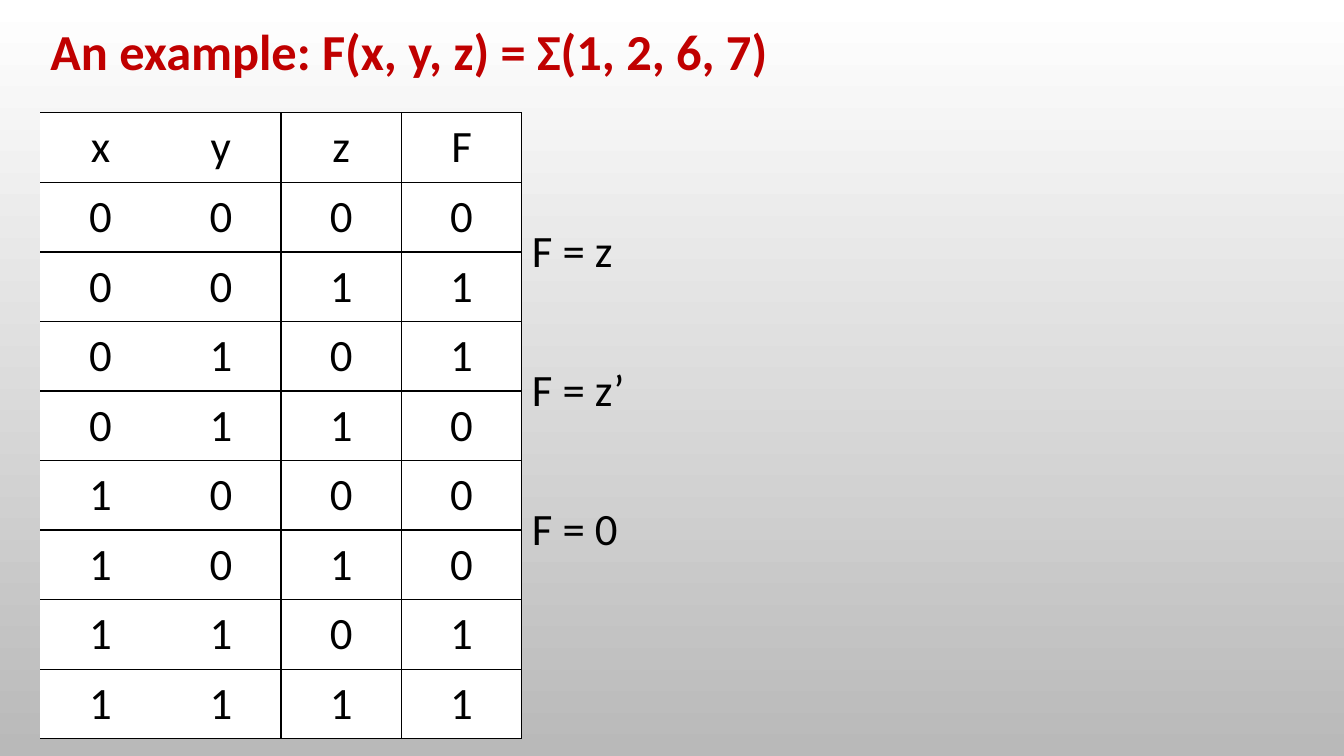
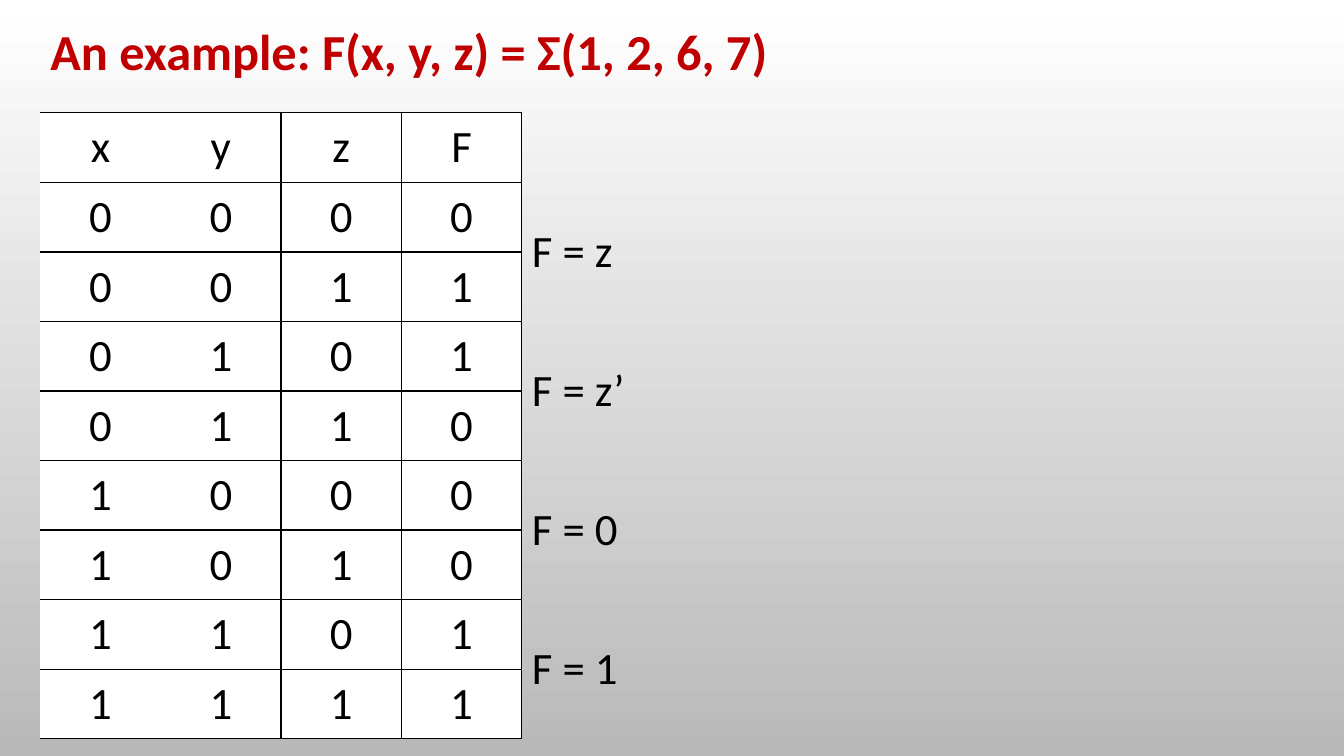
"""Build two slides that reduce a truth table to functions of z."""
from itertools import product
from typing import NamedTuple

from lxml.etree import SubElement
from pptx import Presentation
from pptx.dml.color import RGBColor
from pptx.enum.text import MSO_ANCHOR, MSO_AUTO_SIZE, PP_ALIGN
from pptx.oxml.ns import qn
from pptx.slide import Slide, SlideMaster
from pptx.table import _Cell
from pptx.text.text import TextFrame
from pptx.util import Inches, Pt

WHITE, GREY, BLACK, RED = "FFFFFF", "B9B9B9", "000000", "C00000"
FONT = "Calibri"
PLAIN = "{2D5ABB26-0587-4C30-8999-92F81FD0307C}"
HEADS = ("x", "y", "z", "F")
TERMS = (1, 2, 6, 7)
RULES = ("F = z", "F = z’", "F = 0", "F = 1")
TITLE = f"An example: F(x, y, z) = Σ({', '.join(map(str, TERMS))})"


class Look(NamedTuple):
    """Style of one line of text."""
    size: int
    color: str
    bold: bool
    align: PP_ALIGN


HEAD = Look(36, RED, True, PP_ALIGN.LEFT)
BIT = Look(32, BLACK, False, PP_ALIGN.CENTER)
RULE = Look(32, BLACK, False, PP_ALIGN.LEFT)


def rgb(code: str) -> RGBColor:
    """Turn a hex string into a colour."""
    return RGBColor.from_string(code)


def write(frame: TextFrame, text: str, look: Look) -> None:
    """Set one styled line of text."""
    frame.text = text
    line = frame.paragraphs[0]
    line.alignment = look.align
    font = line.runs[0].font
    font.name, font.size, font.bold = FONT, Pt(look.size), look.bold
    font.color.rgb = rgb(look.color)


def shade(master: SlideMaster) -> None:
    """Give all slides a white to grey backdrop."""
    fill = master.background.fill
    fill.gradient()
    fill.gradient_angle = 270
    for stop, place, code in zip(fill.gradient_stops, (0, 1), (WHITE, GREY)):
        stop.position = place
        stop.color.rgb = rgb(code)


def edge(cell: _Cell, sides: str) -> None:
    """Draw thin lines on the named sides of a cell."""
    props = cell._tc.get_or_add_tcPr()
    for side in sides:
        line = SubElement(props, qn(f"a:ln{side}"), w=str(Pt(1)))
        fill = SubElement(line, qn("a:solidFill"))
        SubElement(fill, qn("a:srgbClr"), val=BLACK)


def sides(row: int, col: int) -> str:
    """Name the ruled sides: pairs of rows, and both sides of z."""
    return "".join((
        "L" if col in (2, 3) else "",
        "R" if col in (1, 2) else "",
        "T" if row == 0 or row % 2 else "",
        "B" if row % 2 == 0 else "",
    ))


def add_head(slide: Slide) -> None:
    """Place the title."""
    head = slide.shapes.title
    head.left, head.top = Inches(0.4), Inches(0.14)
    head.width, head.height = Inches(8.12), Inches(0.71)
    frame = head.text_frame
    frame.auto_size = MSO_AUTO_SIZE.NONE
    frame.vertical_anchor = MSO_ANCHOR.MIDDLE
    write(frame, TITLE, HEAD)


def add_truth(slide: Slide, shown: int) -> None:
    """Draw the truth table with the first rules shown."""
    bits = product((0, 1), repeat=3)
    rows = [HEADS] + [(*xyz, int(n in TERMS)) for n, xyz in enumerate(bits)]
    table = slide.shapes.add_table(
        len(rows), len(HEADS) + 1, Inches(0.4), Inches(1.12),
        Inches(5.97), Inches(6.21)).table
    table.first_row = table.horz_banding = False
    table._tbl.tblPr.find(qn("a:tableStyleId")).text = PLAIN
    for r, row in enumerate(rows):
        for c, value in enumerate(row):
            cell = table.cell(r, c)
            edge(cell, sides(r, c))
            cell.fill.solid()
            cell.fill.fore_color.rgb = rgb(WHITE)
            cell.vertical_anchor = MSO_ANCHOR.MIDDLE
            write(cell.text_frame, str(value), BIT)
        table.cell(r, len(HEADS)).fill.background()
    for n, rule in enumerate(RULES[:shown]):
        top = 2 * n + 1
        cell = table.cell(top, len(HEADS))
        cell.merge(table.cell(top + 1, len(HEADS)))
        cell.vertical_anchor = MSO_ANCHOR.MIDDLE
        write(cell.text_frame, rule, RULE)


def main() -> None:
    """Build and save the slides."""
    deck = Presentation()
    deck.slide_width, deck.slide_height = Inches(13.33), Inches(7.5)
    shade(deck.slide_master)
    for shown in (3, 4):
        slide = deck.slides.add_slide(deck.slide_layouts[5])
        add_head(slide)
        add_truth(slide, shown)
    deck.save("out.pptx")


if __name__ == "__main__":
    main()
